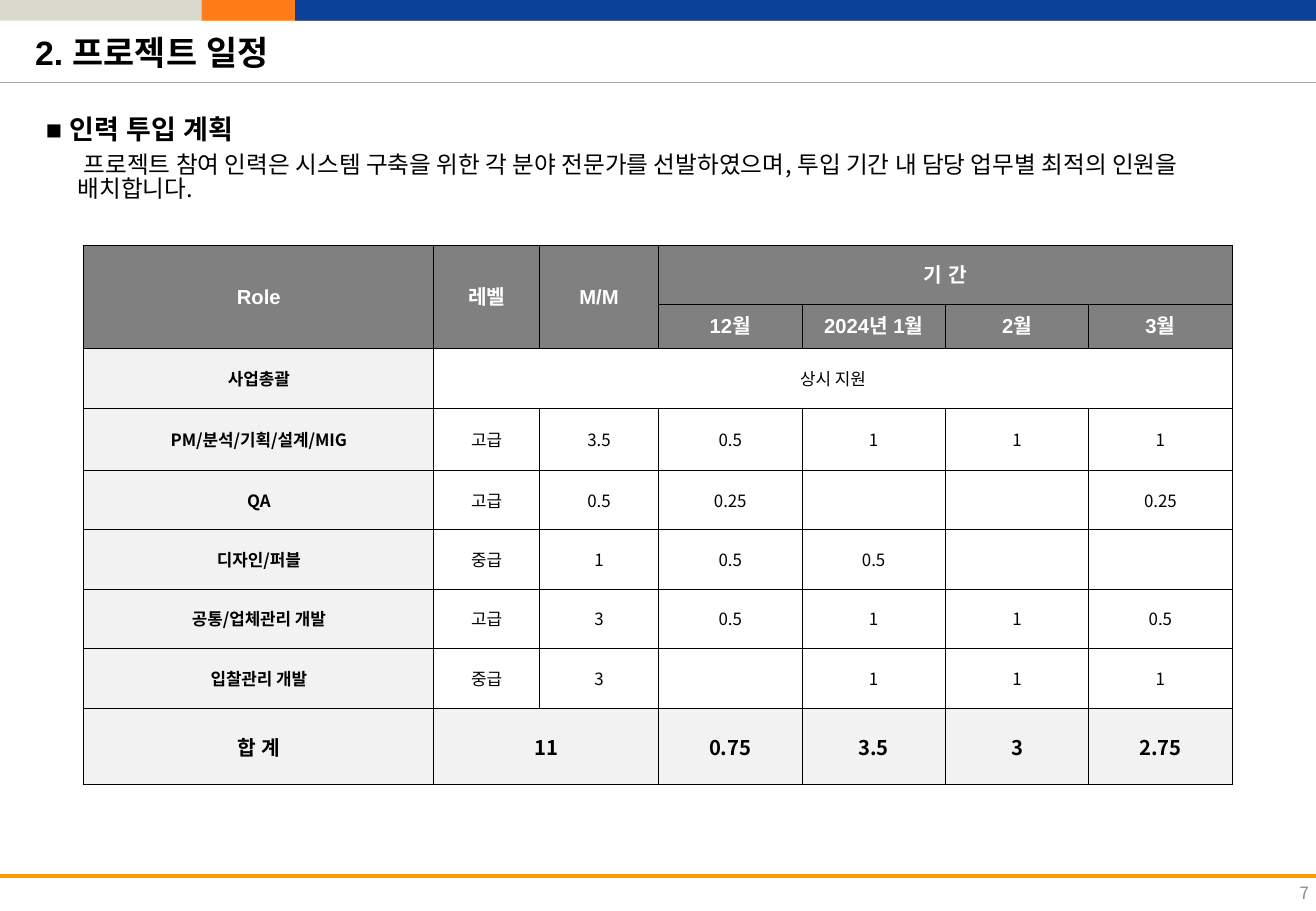
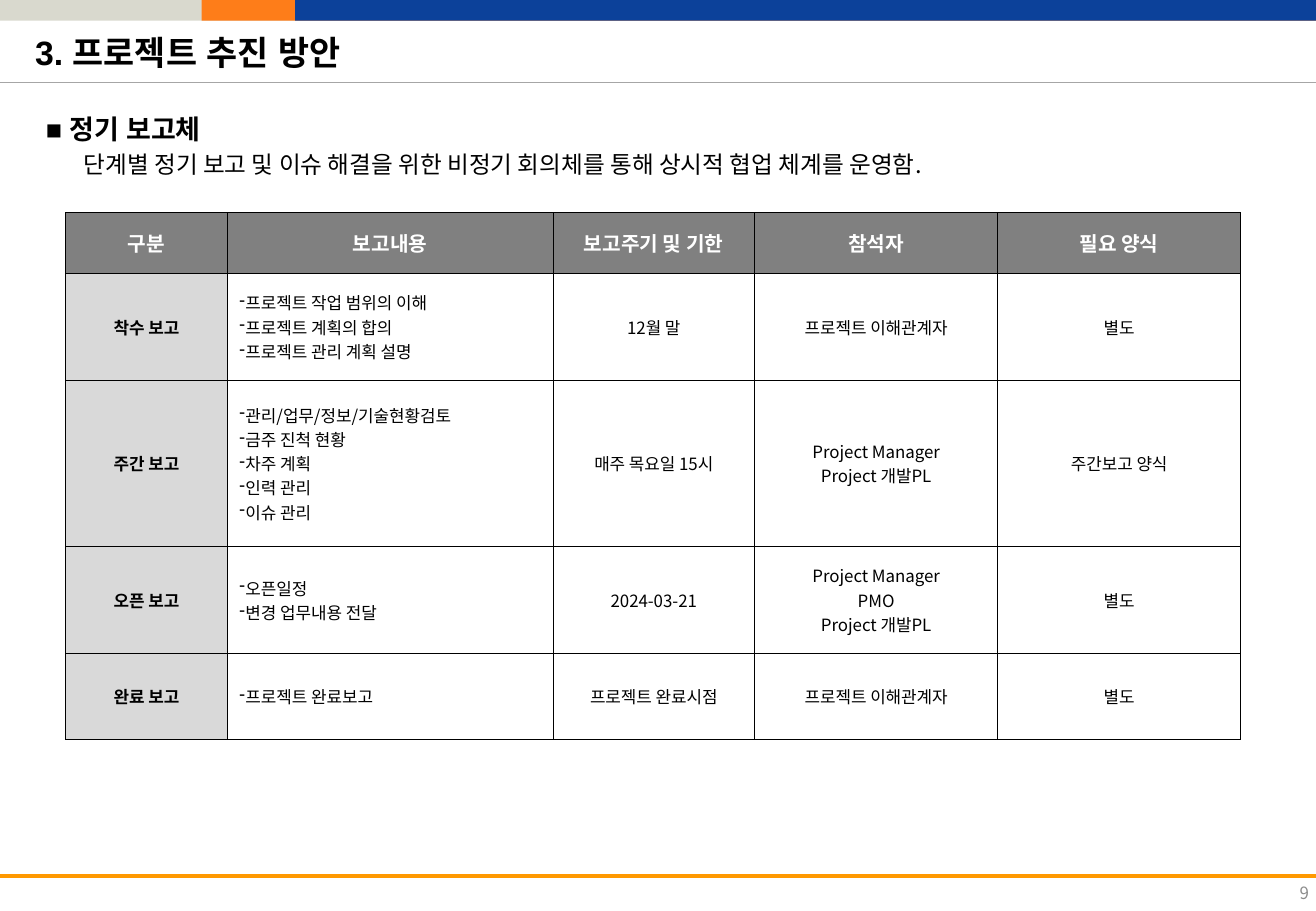
"""Build two project proposal slides: staffing plan and reporting scheme."""
from lxml import etree
from pptx import Presentation
from pptx.dml.color import RGBColor
from pptx.enum.shapes import MSO_CONNECTOR, MSO_SHAPE
from pptx.enum.text import MSO_ANCHOR, PP_ALIGN
from pptx.oxml.ns import qn
from pptx.util import Inches, Pt

LEFT, CENTER, RIGHT = PP_ALIGN.LEFT, PP_ALIGN.CENTER, PP_ALIGN.RIGHT
TOP, MIDDLE = MSO_ANCHOR.TOP, MSO_ANCHOR.MIDDLE
RECT, STRAIGHT = MSO_SHAPE.RECTANGLE, MSO_CONNECTOR.STRAIGHT

BLACK = RGBColor(0x00, 0x00, 0x00)
WHITE = RGBColor(0xFF, 0xFF, 0xFF)
SAND = RGBColor(0xD9, 0xD9, 0xCE)
ORANGE = RGBColor(0xFE, 0x7D, 0x19)
BLUE = RGBColor(0x0C, 0x41, 0x9A)
AMBER = RGBColor(0xFF, 0x99, 0x00)
RULE_GRAY = RGBColor(0xA6, 0xA6, 0xA6)
PAGE_GRAY = RGBColor(0x8C, 0x8C, 0x8C)
HEAD_GRAY = RGBColor(0x80, 0x80, 0x80)
LABEL_GRAY = RGBColor(0xD9, 0xD9, 0xD9)
PALE_GRAY = RGBColor(0xF2, 0xF2, 0xF2)

LATIN, KOREAN = "Arial", "Noto Sans CJK KR"
WIDTH, HEIGHT = 10.83, 7.5
BANDS = [(0, SAND), (1.66, ORANGE), (2.43, BLUE)]


def fmt(size, name=KOREAN, bold=False, color=BLACK):
    """Return the format values of a run."""
    return {"size": Pt(size), "name": name, "bold": bold, "color": color}


TITLE = fmt(20, LATIN, True)
HEADING = fmt(16, LATIN, True)
LEAD = fmt(14)
PAGE = fmt(10, color=PAGE_GRAY)
BODY = fmt(10)
LABEL = fmt(10, bold=True)
TOTAL = fmt(12, bold=True)
HEAD = fmt(12, bold=True, color=WHITE)
HEAD_LATIN = {**HEAD, "name": LATIN}

STAFF_COLS = [2.88, 0.87, 0.98] + [1.18] * 4
STAFF_ROWS = [0.49, 0.36, 0.49, 0.51] + [0.49] * 4 + [0.63]
STAFF = [
    ["Role", "레벨", "M/M", "기 간", "", "", ""],
    ["", "", "", "12월", "2024년 1월", "2월", "3월"],
    ["사업총괄", "상시 지원", "", "", "", "", ""],
    ["PM/분석/기획/설계/MIG", "고급", "3.5", "0.5", "1", "1", "1"],
    ["QA", "고급", "0.5", "0.25", "", "", "0.25"],
    ["디자인/퍼블", "중급", "1", "0.5", "0.5", "", ""],
    ["공통/업체관리 개발", "고급", "3", "0.5", "1", "1", "0.5"],
    ["입찰관리 개발", "중급", "3", "", "1", "1", "1"],
    ["합 계", "11", "", "0.75", "3.5", "3", "2.75"],
]
STAFF_SPANS = [(0, 0, 1, 0), (0, 1, 1, 1), (0, 2, 1, 2), (0, 3, 0, 6),
               (2, 1, 2, 6), (8, 1, 8, 2)]

REPORT_COLS = [1.33, 2.68, 1.66, 2, 2]
REPORT_ROWS = [0.5, 0.88, 1.37, 0.88, 0.71]
REPORT = [
    ["구분", "보고내용", "보고주기 및 기한", "참석자", "필요 양식"],
    ["착수 보고",
     "프로젝트 작업 범위의 이해\n프로젝트 계획의 합의\n프로젝트 관리 계획 설명",
     "12월 말", "프로젝트 이해관계자", "별도"],
    ["주간 보고",
     "관리/업무/정보/기술현황검토\n금주 진척 현황\n차주 계획\n인력 관리\n이슈 관리",
     "매주 목요일 15시", "Project Manager\nProject 개발PL", "주간보고 양식"],
    ["오픈 보고", "오픈일정\n변경 업무내용 전달", "2024-03-21",
     "Project Manager\nPMO\nProject 개발PL", "별도"],
    ["완료 보고", "프로젝트 완료보고", "프로젝트 완료시점",
     "프로젝트 이해관계자", "별도"],
]


def set_indent(p, margin, indent):
    """Set the left margin and first-line indent of a paragraph."""
    pPr = p._p.get_or_add_pPr()
    pPr.set("marL", str(Inches(margin)))
    pPr.set("indent", str(Inches(indent)))


def add_run(p, text, values):
    """Add a formatted run to a paragraph."""
    r = p.add_run()
    r.text = text
    for key, value in values.items():
        if key == "color":
            r.font.color.rgb = value
        else:
            setattr(r.font, key, value)
    ea = etree.SubElement(r._r.get_or_add_rPr(), qn("a:ea"))
    ea.set("typeface", values["name"])


def add_text(s, box, text, values, indent=0, spacing=None, align=LEFT, anchor=TOP):
    """Add a one-paragraph text box."""
    tf = s.shapes.add_textbox(*map(Inches, box)).text_frame
    tf.word_wrap = True
    tf.vertical_anchor = anchor
    p = tf.paragraphs[0]
    p.alignment = align
    if spacing:
        p.line_spacing = spacing
    set_indent(p, 0, indent)
    add_run(p, text, values)


def add_band(s, left, color):
    """Add a top band running from left to the slide edge."""
    sp = s.shapes.add_shape(RECT, Inches(left), 0, Inches(WIDTH - left), Inches(0.17))
    sp.shadow.inherit = False
    sp.fill.solid()
    sp.fill.fore_color.rgb = color
    sp.line.fill.background()


def add_rule(s, y, color, width):
    """Add a full-width horizontal line."""
    ln = s.shapes.add_connector(STRAIGHT, 0, Inches(y), Inches(WIDTH), Inches(y))
    ln.line.color.rgb = color
    ln.line.width = Pt(width)
    etree.SubElement(ln._element.spPr, qn("a:effectLst"))


def add_borders(cell):
    """Draw thin black borders around a cell."""
    tcPr = cell._tc.get_or_add_tcPr()
    for side in ("lnL", "lnR", "lnT", "lnB"):
        ln = etree.SubElement(tcPr, qn("a:" + side), w=str(Pt(0.5)))
        fill = etree.SubElement(ln, qn("a:solidFill"))
        etree.SubElement(fill, qn("a:srgbClr"), val=str(BLACK))


def fill_cell(cell, text, fill, values, bulleted):
    """Set the borders, fill and text of a cell."""
    add_borders(cell)
    cell.fill.solid()
    cell.fill.fore_color.rgb = fill
    cell.vertical_anchor = MIDDLE
    if not text:
        return
    tf = cell.text_frame
    for i, line in enumerate(text.split("\n")):
        p = tf.add_paragraph() if i else tf.paragraphs[0]
        p.alignment = LEFT if bulleted else CENTER
        if bulleted:
            set_indent(p, 0.05, -0.05)
            etree.SubElement(p._p.get_or_add_pPr(), qn("a:buChar"), char="-")
        add_run(p, line, values)


def add_grid(s, left, top, cols, rows, cells, style, spans=()):
    """Add a table whose cell looks come from style(row, col)."""
    frame = s.shapes.add_table(len(rows), len(cols), Inches(left), Inches(top),
                               Inches(sum(cols)), Inches(sum(rows)))
    table = frame.table
    table.first_row = table.horz_banding = False
    for col, width in zip(table.columns, cols):
        col.width = Inches(width)
    for row, height in zip(table.rows, rows):
        row.height = Inches(height)
    for i, texts in enumerate(cells):
        for j, text in enumerate(texts):
            fill_cell(table.cell(i, j), text, *style(i, j))
    for r1, c1, r2, c2 in spans:
        table.cell(r1, c1).merge(table.cell(r2, c2))


def staff_style(i, j):
    """Return fill, format and bullet flag for a staffing cell."""
    if i < 2:
        return HEAD_GRAY, HEAD_LATIN, False
    if i == len(STAFF) - 1:
        return PALE_GRAY, TOTAL, False
    return (WHITE, BODY, False) if j else (PALE_GRAY, LABEL, False)


def report_style(i, j):
    """Return fill, format and bullet flag for a reporting cell."""
    if i == 0:
        return HEAD_GRAY, HEAD, False
    return (WHITE, BODY, j == 1) if j else (LABEL_GRAY, LABEL, False)


def add_page(prs, number, title, heading, lead):
    """Add a slide with the shared bands, rules, title, lead and page number."""
    s = prs.slides.add_slide(prs.slide_layouts[6])
    for left, color in BANDS:
        add_band(s, left, color)
    add_rule(s, 0.68, RULE_GRAY, 0.25)
    add_rule(s, 7.21, AMBER, 2.5)
    add_text(s, (8.34, 7.15, 2.53, 0.4), number, PAGE, align=RIGHT, anchor=MIDDLE)
    add_text(s, (0, 0.21, 10.82, 0.44), title, TITLE, indent=0.19)
    add_text(s, (0.28, 0.82, 9.75, 0.39), heading, HEADING, spacing=1.2)
    add_text(s, (0.54, 1.23, 9.75, 0.63), lead, LEAD, indent=0.05, spacing=0.82)
    return s


def main():
    """Build and save the presentation."""
    prs = Presentation()
    prs.slide_width, prs.slide_height = Inches(WIDTH), Inches(HEIGHT)
    s = add_page(prs, "7", "2. 프로젝트 일정", "■ 인력 투입 계획",
                 "프로젝트 참여 인력은 시스템 구축을 위한 각 분야 전문가를 선발하였으며, "
                 "투입 기간 내 담당 업무별 최적의 인원을 배치합니다.")
    add_grid(s, 0.69, 2.02, STAFF_COLS, STAFF_ROWS, STAFF, staff_style, STAFF_SPANS)
    s = add_page(prs, "9", "3. 프로젝트 추진 방안", "■ 정기 보고체",
                 "단계별 정기 보고 및 이슈 해결을 위한 비정기 회의체를 통해 "
                 "상시적 협업 체계를 운영함.")
    add_grid(s, 0.54, 1.75, REPORT_COLS, REPORT_ROWS, REPORT, report_style)
    prs.save("out.pptx")


if __name__ == "__main__":
    main()
